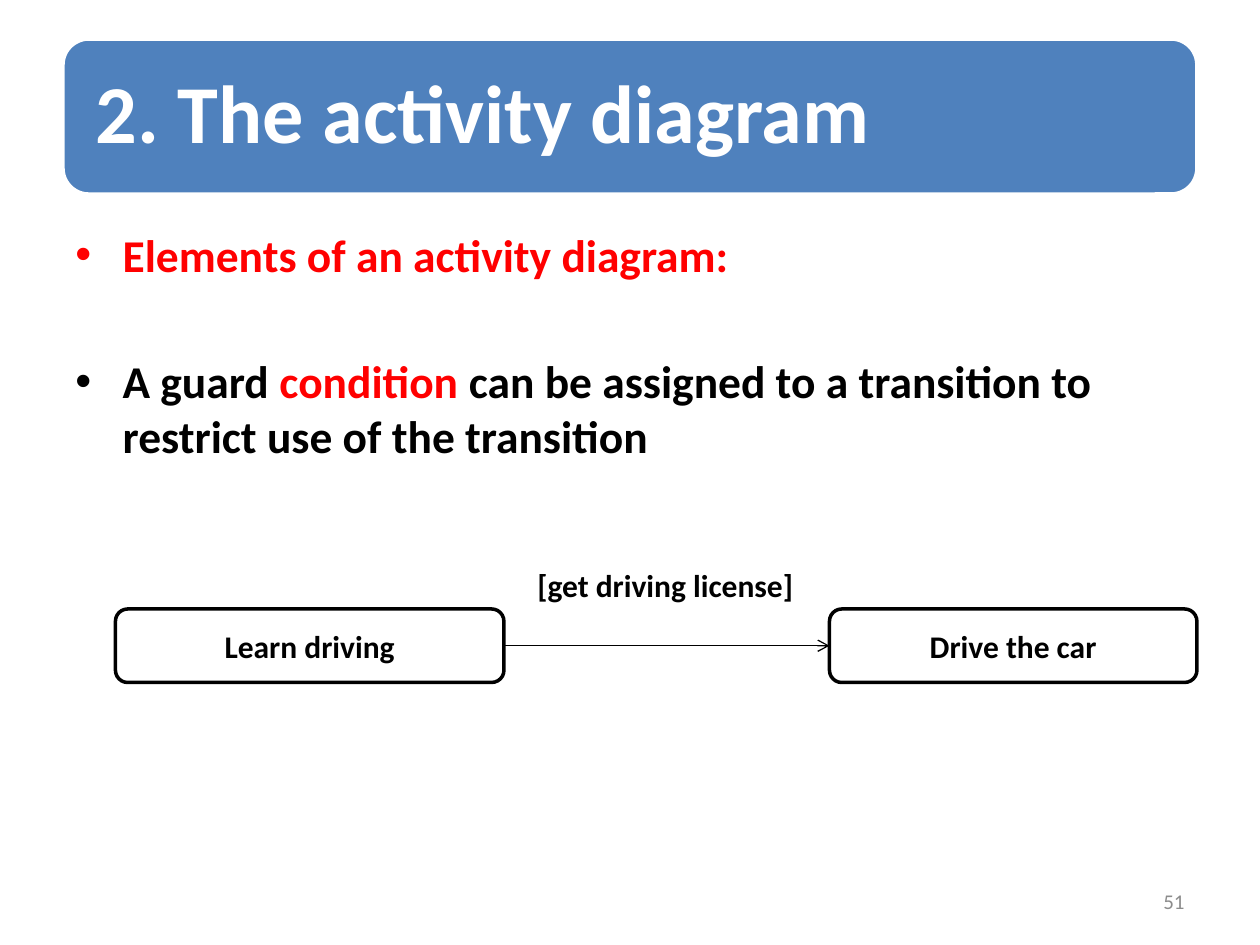
from pptx import Presentation
from pptx.dml.color import RGBColor
from pptx.enum.shapes import MSO_CONNECTOR, MSO_SHAPE
from pptx.enum.text import MSO_ANCHOR, PP_ALIGN
from pptx.oxml.ns import qn
from pptx.util import Pt
from lxml.etree import SubElement

COLORS = {"blue": "4F81BD", "white": "FFFFFF", "black": "000000",
          "red": "FF0000", "gray": "8C8C8C"}


def add_run(paragraph, text, size, color, bold=True):
    run = paragraph.add_run()
    run.text = text
    run.font.name = "Calibri"
    run.font.size = Pt(size)
    run.font.bold = bold
    run.font.color.rgb = RGBColor.from_string(COLORS[color])


def add_rounded_box(left, top, width, height, fill, line):
    shape = slide.shapes.add_shape(MSO_SHAPE.ROUNDED_RECTANGLE,
                                   Pt(left), Pt(top), Pt(width), Pt(height))
    shape.shadow.inherit = False
    shape.fill.solid()
    shape.fill.fore_color.rgb = RGBColor.from_string(COLORS[fill])
    shape.line.color.rgb = RGBColor.from_string(COLORS[line])
    shape.line.width = Pt(2)
    shape.text_frame.word_wrap = True
    shape.text_frame.vertical_anchor = MSO_ANCHOR.MIDDLE
    return shape


presentation = Presentation()
presentation.slide_width, presentation.slide_height = Pt(720), Pt(540)
slide = presentation.slides.add_slide(presentation.slide_layouts[6])

# Title banner
banner = add_rounded_box(36, 22.3, 648, 88.6, "blue", "white")
banner.text_frame.margin_left = banner.text_frame.margin_right = Pt(14.4)
paragraph = banner.text_frame.paragraphs[0]
paragraph.alignment = PP_ALIGN.LEFT
paragraph.line_spacing = 0.9
add_run(paragraph, "2. The activity diagram", 47, "white")

# Bullets: space before, then the runs with their colours
bullets = [
    (0, [("Elements of an activity diagram:", "red")]),
    (41, [("A guard ", "black"), ("condition", "red"),
          (" can be assigned to a transition to restrict use of the transition", "black")]),
]
body = slide.shapes.add_textbox(Pt(36), Pt(126), Pt(648), Pt(356.4))
body.text_frame.word_wrap = True
for index, (space_before, runs) in enumerate(bullets):
    paragraph = body.text_frame.paragraphs[0] if index == 0 else body.text_frame.add_paragraph()
    paragraph.space_before = Pt(space_before)
    properties = paragraph._p.get_or_add_pPr()
    properties.set("marL", str(Pt(27)))
    properties.set("indent", str(-Pt(27)))
    SubElement(properties, qn("a:buFont")).set("typeface", "Arial")
    SubElement(properties, qn("a:buChar")).set("char", "•")
    for text, color in runs:
        add_run(paragraph, text, 26, color)

# Slide number
number = slide.shapes.add_textbox(Pt(516), Pt(500.5), Pt(168), Pt(28.75))
number.text_frame.word_wrap = True
number.text_frame.vertical_anchor = MSO_ANCHOR.MIDDLE
paragraph = number.text_frame.paragraphs[0]
paragraph.alignment = PP_ALIGN.RIGHT
add_run(paragraph, "51", 12, "gray", bold=False)

# Activities
activities = []
for text, left, width in [("Learn driving", 66, 222), ("Drive the car", 474, 210)]:
    activity = add_rounded_box(left, 348, width, 42, "white", "black")
    paragraph = activity.text_frame.paragraphs[0]
    paragraph.alignment = PP_ALIGN.CENTER
    add_run(paragraph, text, 18, "black")
    activities.append(activity)

# Transition arrow with its guard condition
transition = slide.shapes.add_connector(MSO_CONNECTOR.STRAIGHT, 0, 0, 0, 0)
transition.begin_connect(activities[0], 3)
transition.end_connect(activities[1], 1)
transition.line.color.rgb = RGBColor.from_string(COLORS["black"])
transition.line.width = Pt(0.75)
SubElement(transition.line._get_or_add_ln(), qn("a:tailEnd")).set("type", "arrow")
SubElement(transition._element.spPr, qn("a:effectLst"))

guard = slide.shapes.add_textbox(Pt(300), Pt(320), Pt(168), Pt(29))
guard.text_frame.word_wrap = True
add_run(guard.text_frame.paragraphs[0], "[get driving license]", 18, "black")

presentation.save("out.pptx")
